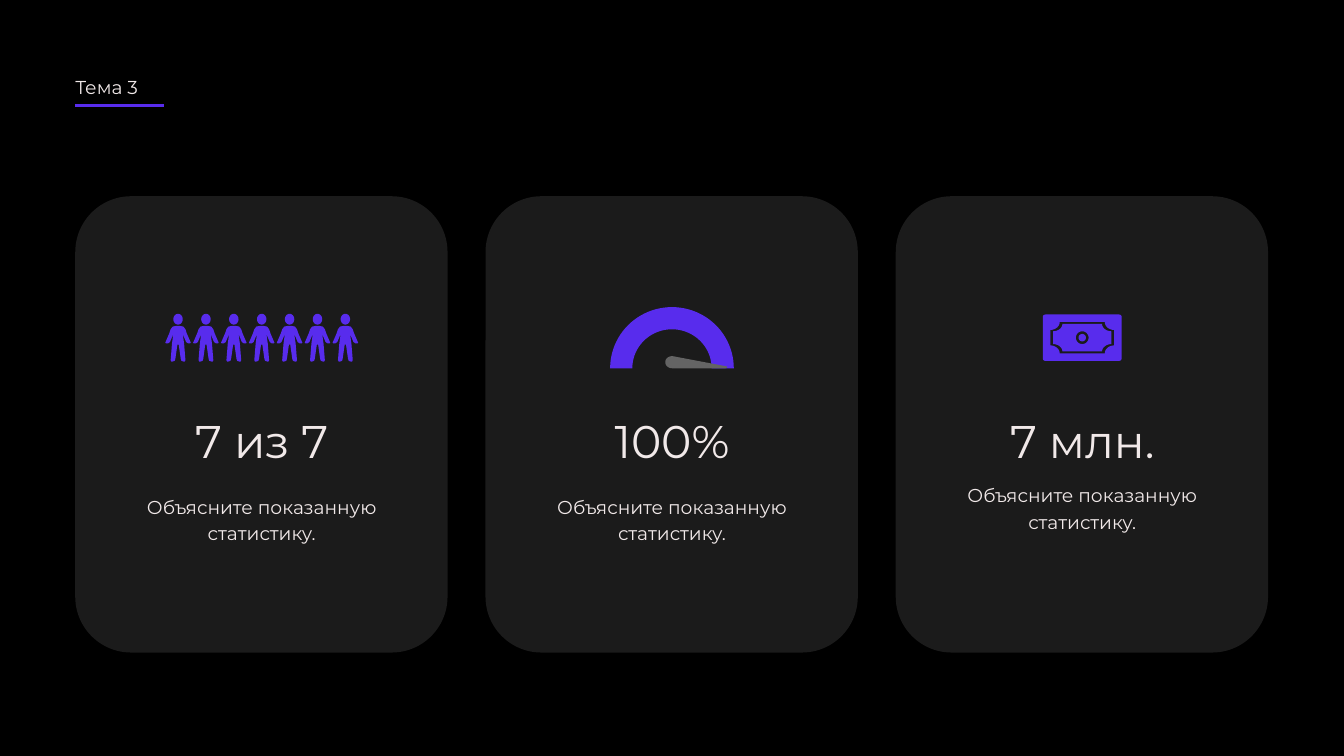
from math import cos, radians, sin

from lxml.etree import SubElement
from pptx import Presentation
from pptx.dml.color import RGBColor
from pptx.enum.shapes import MSO_CONNECTOR, MSO_SHAPE
from pptx.enum.text import MSO_ANCHOR, MSO_AUTO_SIZE, PP_ALIGN
from pptx.oxml.ns import qn
from pptx.util import Inches, Pt

BLACK, CARD, TEXT, VIOLET, GREY = "000000", "1B1B1B", "F1E9E9", "582CED", "646464"
CARD_LEFT, CARD_TOP, CARD_W, CARD_H, CARD_PITCH = 1.12, 2.92, 5.54, 6.79, 6.105
LABEL = "Объясните показанную статистику."
# Figure, and top of the label under it
CARDS = [("7 из 7", 7.32), ("100%", 7.32), ("7 млн.", 7.15)]

SMALL = {"size": Pt(20), "name": "Montserrat", "bold": False}
LARGE = {**SMALL, "size": Pt(49)}
FRAME = {"margin_left": 0, "margin_top": 0, "margin_right": 0, "margin_bottom": 0,
         "word_wrap": True, "vertical_anchor": MSO_ANCHOR.TOP,
         "auto_size": MSO_AUTO_SIZE.NONE}

# Right half of a person's body: offset from the axis, height on the slide
BODY = [(0.01, 5.13), (0.04, 5.34), (0.05, 5.37), (0.08, 5.38), (0.1, 5.38),
        (0.11, 5.36), (0.09, 5.11), (0.07, 4.97), (0.12, 5.09), (0.15, 5.11),
        (0.18, 5.11), (0.19, 5.1), (0.13, 4.96), (0.11, 4.9), (0.08, 4.86),
        (0.03, 4.85)]


def color(value):
    return RGBColor.from_string(value)


def apply(target, values):
    for name, value in values.items():
        setattr(target, name, value)


def paint(sp, fill):
    sp.fill.solid()
    sp.fill.fore_color.rgb = color(fill)
    sp.line.fill.background()
    sp.shadow.inherit = False


def write(sp, text, font, leading, align):
    tf = sp.text_frame
    apply(tf, FRAME)
    p = tf.paragraphs[0]
    apply(p, {"alignment": align, "line_spacing": Pt(leading)})
    r = p.add_run()
    r.text = text
    apply(r.font, font)
    r.font.color.rgb = color(TEXT)


def place(sp, left, top, width, height):
    apply(sp, {"left": Inches(left), "top": Inches(top),
               "width": Inches(width), "height": Inches(height)})


def add_text(s, left, top, width, height, *style):
    box = [Inches(v) for v in (left, top, width, height)]
    write(s.shapes.add_textbox(*box), *style)


def add_outline(s, contours, fill):
    builder = None
    for contour in contours:
        points = [(Inches(x), Inches(y)) for x, y in contour]
        if builder is None:
            builder = s.shapes.build_freeform(*points[0])
        else:
            builder.move_to(*points[0])
        builder.add_line_segments(points[1:], close=True)
    paint(builder.convert_to_shape(), fill)


def arc(cx, cy, rx, ry, start, end, steps=16):
    angles = [radians(start + (end - start) * i / steps) for i in range(steps + 1)]
    return [(cx + rx * cos(a), cy + ry * sin(a)) for a in angles]


def ellipse(cx, cy, rx, ry):
    return arc(cx, cy, rx, ry, 0, 360, 32)[:-1]


def cornered(cx, cy, half_w, half_h, rx, ry, notched=False):
    """Rectangle whose corners are rounded, or cut inwards when notched."""
    inset_x, inset_y = (0, 0) if notched else (rx, ry)
    first, sweep = (270, -90) if notched else (0, 90)
    points = []
    for i, (dx, dy) in enumerate([(1, 1), (-1, 1), (-1, -1), (1, -1)]):
        start = first + 90 * i
        points += arc(cx + dx * (half_w - inset_x), cy + dy * (half_h - inset_y),
                      rx, ry, start, start + sweep, 8)
    return points


def add_people(s):
    contours = []
    for i in range(7):
        x = 2.65 + 0.415 * i
        contours.append(ellipse(x, 4.75, 0.07, 0.08))
        contours.append([(x + dx, y) for dx, y in BODY]
                        + [(x - dx, y) for dx, y in reversed(BODY)])
    add_outline(s, contours, VIOLET)


def add_gauge(s):
    cx, base = 10, 5.48
    band = arc(cx, base, 0.92, 0.91, 180, 360, 48) + arc(cx, base, 0.59, 0.58, 360, 180, 48)
    needle = arc(cx, 5.39, 0.1, 0.09, 90, 280) + arc(10.8, 5.465, 0.02, 0.015, -80, 90, 8)
    add_outline(s, [band], VIOLET)
    add_outline(s, [needle], GREY)


def add_banknote(s):
    center = (16.105, 5.025)
    add_outline(s, [
        cornered(*center, 0.585, 0.345, 0.04, 0.03),
        cornered(*center, 0.475, 0.235, 0.14, 0.12, notched=True),
        cornered(*center, 0.435, 0.205, 0.14, 0.11, notched=True),
        ellipse(*center, 0.095, 0.095),
        ellipse(*center, 0.055, 0.055),
    ], VIOLET)


def add_card(s, left, figure, label_top):
    box = [Inches(v) for v in (left, CARD_TOP, CARD_W, CARD_H)]
    sp = s.shapes.add_shape(MSO_SHAPE.ROUNDED_RECTANGLE, *box)
    sp.adjustments[0] = 0.15
    paint(sp, CARD)
    add_text(s, left + 1.01, 6.14, 3.53, 0.8, figure, LARGE, 58.8, PP_ALIGN.CENTER)
    add_text(s, left + 1.01, label_top, 3.53, 0.75, LABEL, SMALL, 28, PP_ALIGN.CENTER)


def add_rule(s, left, right, y):
    ends = [Inches(v) for v in (left, y, right, y)]
    line = s.shapes.add_connector(MSO_CONNECTOR.STRAIGHT, *ends)
    line.line.color.rgb = color(VIOLET)
    line.line.width = Pt(3.75)
    SubElement(line._element.spPr, qn("a:effectLst"))


def main():
    prs = Presentation()
    prs.slide_width, prs.slide_height = Inches(20), Inches(11.25)
    s = prs.slides.add_slide(prs.slide_layouts[5])
    s.background.fill.solid()
    s.background.fill.fore_color.rgb = color(BLACK)

    # Heading
    place(s.shapes.title, CARD_LEFT, 1.08, 5.69, 0.37)
    write(s.shapes.title, "Тема 3", SMALL, 28, PP_ALIGN.LEFT)
    add_rule(s, CARD_LEFT, 2.44, 1.57)

    # Cards
    for i, (figure, label_top) in enumerate(CARDS):
        add_card(s, CARD_LEFT + CARD_PITCH * i, figure, label_top)

    # Icons
    add_people(s)
    add_gauge(s)
    add_banknote(s)
    prs.save("out.pptx")


if __name__ == "__main__":
    main()
